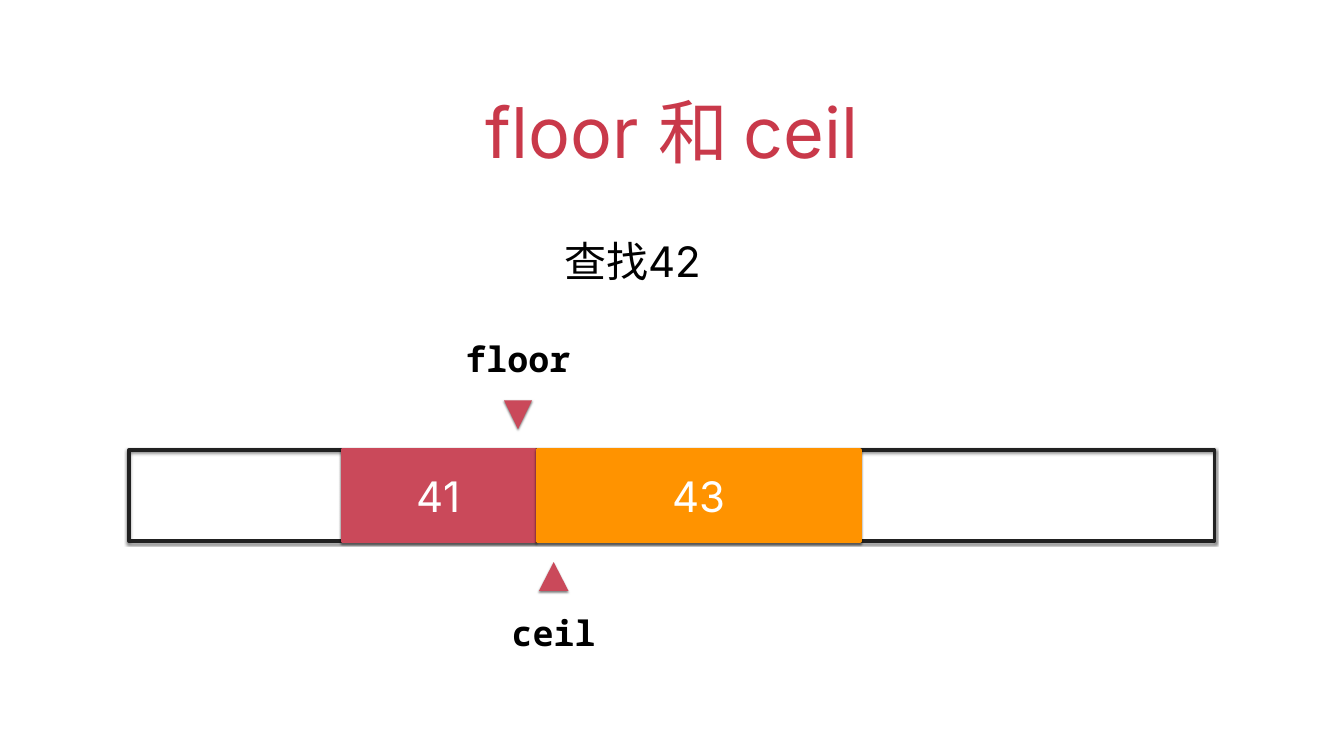
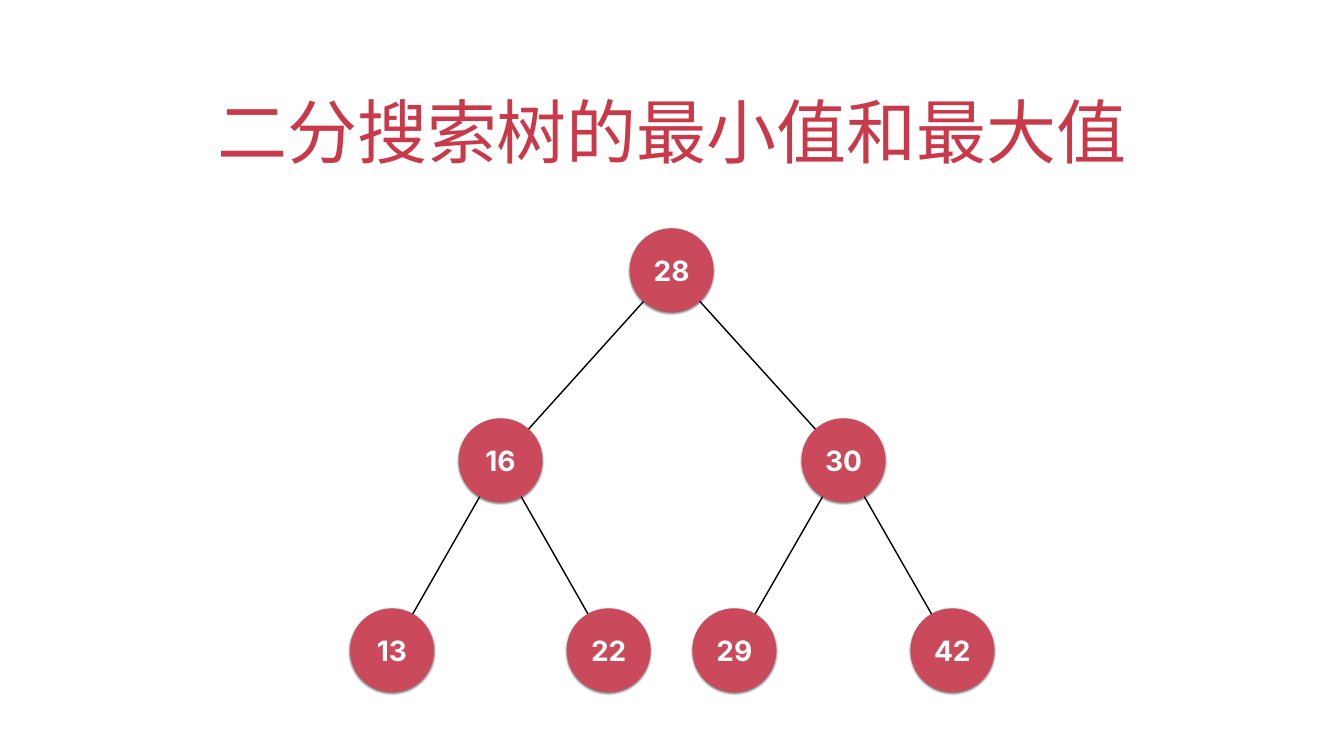
from lxml.etree import SubElement
from pptx import Presentation
from pptx.dml.color import RGBColor
from pptx.enum.shapes import MSO_CONNECTOR as Connector, MSO_SHAPE as Shape
from pptx.enum.text import MSO_ANCHOR as Anchor, MSO_AUTO_SIZE as AutoSize, PP_ALIGN as Align
from pptx.oxml.ns import qn
from pptx.util import Pt

TITLE_RED = RGBColor(0xC9, 0x39, 0x4A)
RED = RGBColor(0xCA, 0x49, 0x5A)
ORANGE = RGBColor(0xFF, 0x93, 0x00)
CHARCOAL = RGBColor(0x21, 0x21, 0x21)
BLACK = RGBColor(0, 0, 0)
WHITE = RGBColor(0xFF, 0xFF, 0xFF)

SANS = "Inter"
MONO = "Noto Sans Mono"
INSET = 4
TITLE_BOX = (140, 91, 1640, 160)


def points(*lengths):
    return [Pt(length) for length in lengths]


def write(shape, text, size, color, font=SANS, bold=False, align=Align.CENTER, anchor=Anchor.MIDDLE):
    frame = shape.text_frame
    frame.text = text
    frame.vertical_anchor = anchor
    frame.margin_left = frame.margin_right = Pt(INSET)
    frame.margin_top = frame.margin_bottom = Pt(INSET)
    paragraph = frame.paragraphs[0]
    paragraph.alignment = align
    for run in paragraph.runs:
        run.font.name = font
        run.font.size = Pt(size)
        run.font.bold = bold
        run.font.color.rgb = color
    return frame


def add_soft_shadow(shape):
    shape.shadow.inherit = False
    effects = shape.element.spPr.find(qn("a:effectLst"))
    shadow = SubElement(effects, qn("a:outerShdw"), blurRad=str(Pt(3)), dist=str(Pt(2)),
                        dir="5400000", rotWithShape="0")
    color = SubElement(shadow, qn("a:srgbClr"), val=str(BLACK))
    SubElement(color, qn("a:alpha"), val="50000")


def paint(shape, fill=None, line=None):
    if fill is None:
        shape.fill.background()
    else:
        shape.fill.solid()
        shape.fill.fore_color.rgb = fill
    if line is None:
        shape.line.fill.background()
    else:
        shape.line.color.rgb = line
        shape.line.width = Pt(5)
    add_soft_shadow(shape)


def add_titled_slide(presentation, title):
    slide = presentation.slides.add_slide(presentation.slide_layouts[5])
    placeholder = slide.shapes.title
    placeholder.left, placeholder.top, placeholder.width, placeholder.height = points(*TITLE_BOX)
    frame = write(placeholder, title, 100, TITLE_RED, anchor=Anchor.BOTTOM)
    frame.auto_size = AutoSize.NONE
    return slide


def add_query(slide, left, top, width, height, text):
    box = slide.shapes.add_textbox(*points(left, top, width, height))
    frame = write(box, text, 60, BLACK, align=Align.LEFT)
    frame.word_wrap = True
    frame.paragraphs[0].line_spacing = 1.5


def add_bar(slide, left, top, width, height, segments):
    outline = slide.shapes.add_shape(Shape.RECTANGLE, *points(left, top, width, height))
    paint(outline, line=CHARCOAL)
    for offset, segment_width, text, color in segments:
        segment = slide.shapes.add_shape(
            Shape.RECTANGLE, *points(left + offset, top, segment_width, height))
        paint(segment, color, color)
        write(segment, text, 60, WHITE)


def add_marker(slide, center, tip, direction, label, label_width):
    side, label_height, label_distance = 41, 66, 101
    base = tip - direction * side
    builder = slide.shapes.build_freeform(center, tip, scale=Pt(1))
    builder.add_line_segments([(center + side / 2, base), (center - side / 2, base)], close=True)
    paint(builder.convert_to_shape(), RED)
    label_top = tip - direction * label_distance - label_height / 2
    box = slide.shapes.add_textbox(
        *points(center - label_width / 2, label_top, label_width, label_height))
    write(box, label, 50, BLACK, MONO, bold=True).word_wrap = False


def add_tree(slide, left, top, width, height, nodes):
    diameter = 120
    level_gap = (height - diameter) / 2
    group = slide.shapes.add_group_shape()
    centers = [(left + x, top + diameter / 2 + level * level_gap) for _, x, level in nodes]
    for index in range(1, len(nodes)):
        parent = centers[(index - 1) // 2]
        edge = group.shapes.add_connector(
            Connector.STRAIGHT, *points(*parent, *centers[index]))
        edge.line.color.rgb = BLACK
        edge.line.width = Pt(2)
        SubElement(edge.element.spPr, qn("a:effectLst"))
    for (text, _, _), (x, y) in zip(nodes, centers):
        node = group.shapes.add_shape(
            Shape.OVAL, *points(x - diameter / 2, y - diameter / 2, diameter, diameter))
        paint(node, RED)
        write(node, text, 40, WHITE, bold=True)


def build_floor_and_ceil(presentation):
    slide = add_titled_slide(presentation, "floor 和 ceil")
    bar_top, bar_height, marker_gap = 643, 130, 30
    add_bar(slide, 184, bar_top, 1551, bar_height,
            [(305, 275, "41", RED), (583.5, 461, "43", ORANGE)])
    add_marker(slide, 740, bar_top - marker_gap, 1, "floor", 160)
    add_marker(slide, 791, bar_top + bar_height + marker_gap, -1, "ceil", 130)
    add_query(slide, 802, 309, 258, 92, "查找42")


def build_minimum_and_maximum(presentation):
    slide = add_titled_slide(presentation, "二分搜索树的最小值和最大值")
    nodes = [("28", 459.5, 0),
             ("16", 215, 1), ("30", 705, 1),
             ("13", 60, 2), ("22", 369.5, 2), ("29", 549, 2), ("42", 860.5, 2)]
    add_tree(slide, 500, 326, 920.5, 663, nodes)


presentation = Presentation()
presentation.slide_width, presentation.slide_height = points(1920, 1080)
build_floor_and_ceil(presentation)
build_minimum_and_maximum(presentation)
presentation.save("out.pptx")
